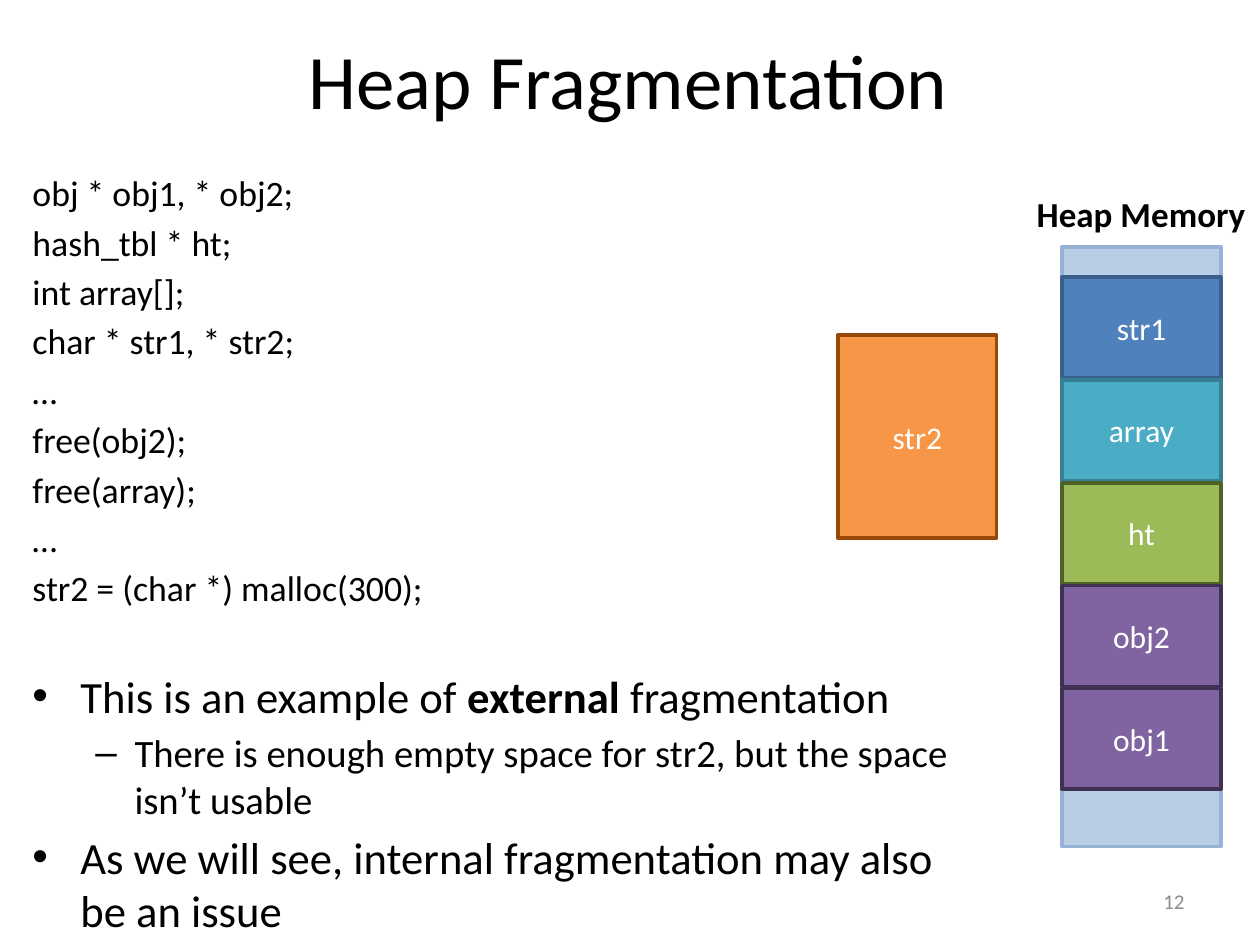
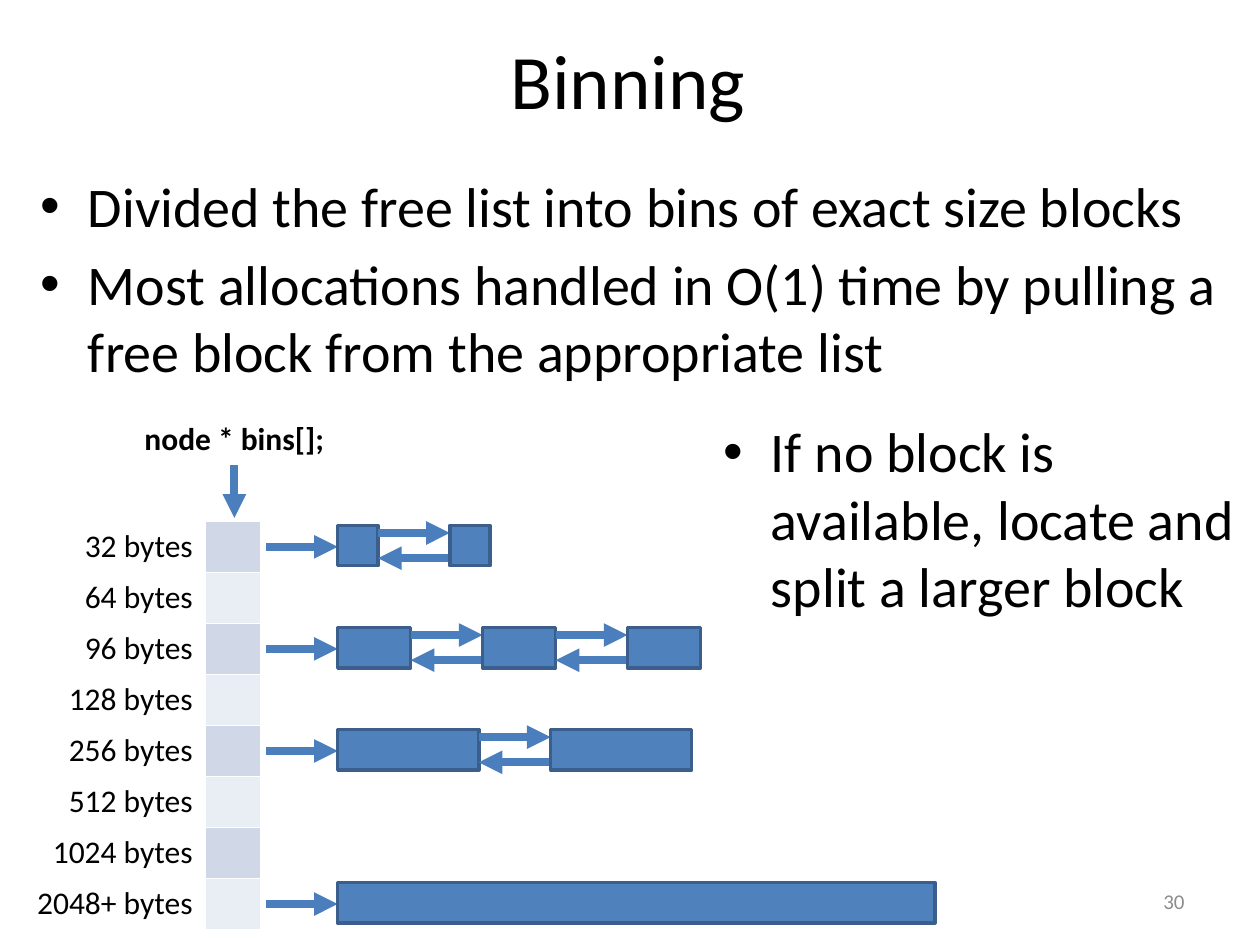
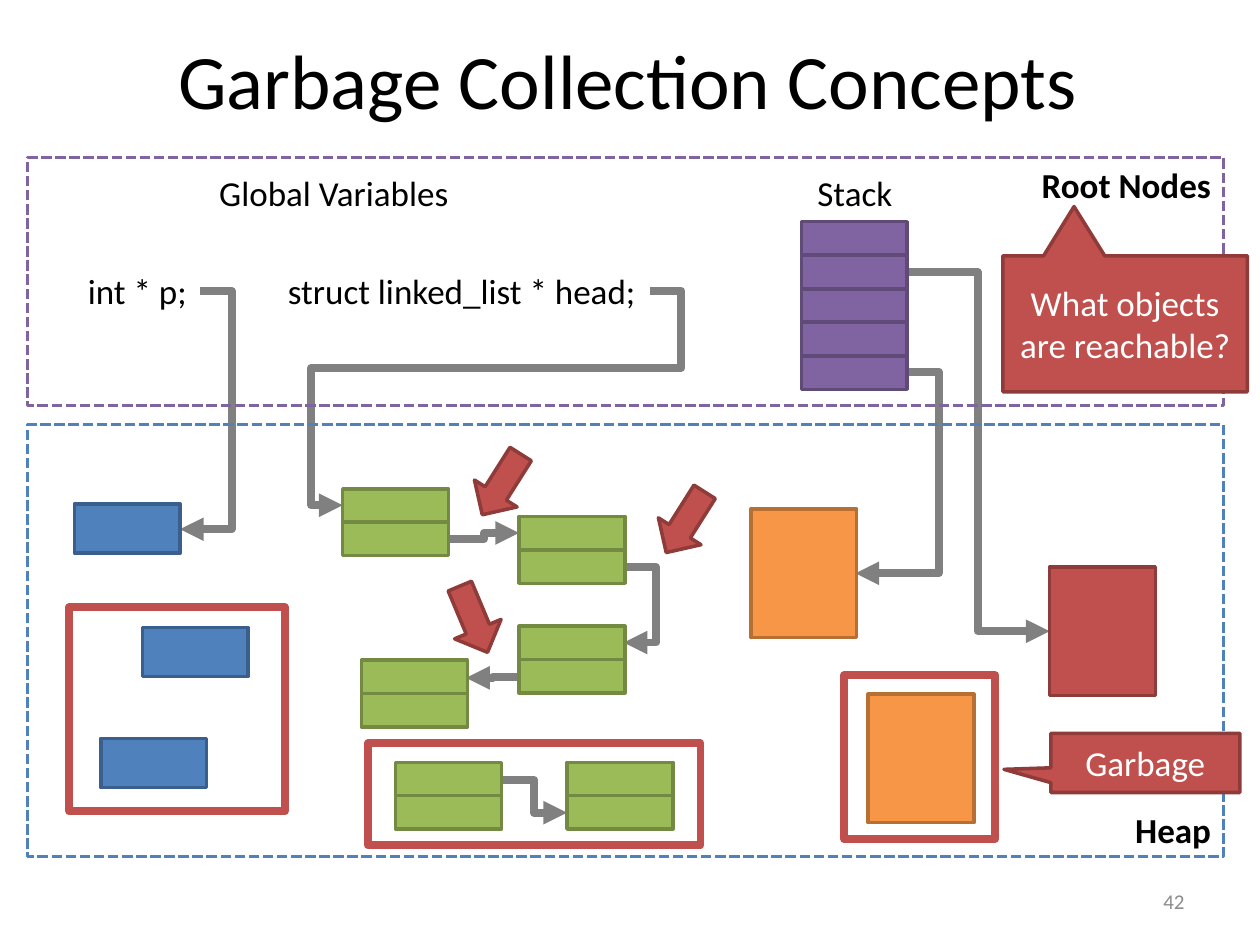
from lxml import etree
from pptx import Presentation
from pptx.dml.color import RGBColor
from pptx.enum.dml import MSO_LINE
from pptx.enum.shapes import MSO_CONNECTOR, MSO_SHAPE
from pptx.enum.text import MSO_ANCHOR, PP_ALIGN
from pptx.oxml.ns import qn
from pptx.util import Inches, Pt

RECT, CALLOUT, ARROW = MSO_SHAPE.RECTANGLE, MSO_SHAPE.RECTANGULAR_CALLOUT, MSO_SHAPE.DOWN_ARROW
STRAIGHT, ELBOW = MSO_CONNECTOR.STRAIGHT, MSO_CONNECTOR.ELBOW
LEFT, CENTER, RIGHT = PP_ALIGN.LEFT, PP_ALIGN.CENTER, PP_ALIGN.RIGHT
TOP, MIDDLE, BOTTOM = MSO_ANCHOR.TOP, MSO_ANCHOR.MIDDLE, MSO_ANCHOR.BOTTOM
DASH = MSO_LINE.SQUARE_DOT

FONT = "Calibri"
COLORS = {
    "black": "000000", "white": "FFFFFF", "page": "8C8C8C", "gray": "808080",
    "blue": "4F81BD", "navy": "3A5F8C", "link": "4B7EBC",
    "pale": "B9CDE5", "sky": "95B3D7", "odd": "E9EDF4", "even": "D0D8E8",
    "orange": "F79646", "rust": "984807", "amber": "B76F34",
    "purple": "8064A2", "plum": "403152", "grape": "5F4A78",
    "green": "9BBB59", "moss": "4F6228", "olive": "738A42",
    "teal": "4BACC6", "sea": "377F92", "red": "C0504D", "wine": "8E3B39",
}
# level: (bullet, left margin, hanging indent); level 0 has no bullet
BULLETS = {1: ("•", 0.38, 0.38), 2: ("–", 0.81, 0.31)}


def rgb(name):
    return RGBColor.from_string(COLORS[name])


def inch(*nums):
    return [Inches(num) for num in nums]


def add(parent, tag, **attrs):
    return etree.SubElement(parent, qn(tag), attrs)


def bullet(para, level):
    mark, left, hang = BULLETS[level]
    props = para._p.get_or_add_pPr()
    props.set("marL", str(Inches(left)))
    props.set("indent", str(-Inches(hang)))
    add(props, "a:buFont", typeface="Arial")
    add(props, "a:buChar", char=mark)


def fill_para(para, text, size, color="black", bold=False, align=LEFT):
    """Write the text; parts between bars are bold."""
    para.alignment = align
    for num, part in enumerate(text.split("|")):
        run = para.add_run()
        run.text = part
        form = {"name": FONT, "size": Pt(size), "bold": bold or num % 2 == 1}
        for key, value in form.items():
            setattr(run.font, key, value)
        run.font.color.rgb = rgb(color)


def label(slide, box, text, size, anchor=TOP, wrap=True, **form):
    frame = slide.shapes.add_textbox(*inch(*box)).text_frame
    frame.word_wrap, frame.vertical_anchor = wrap, anchor
    fill_para(frame.paragraphs[0], text, size, **form)


def body(slide, box, items):
    """Each item is (text, level, size, space before)."""
    frame = slide.shapes.add_textbox(*inch(*box)).text_frame
    frame.word_wrap = True
    for num, (text, level, size, space) in enumerate(items):
        para = frame.add_paragraph() if num else frame.paragraphs[0]
        if level:
            bullet(para, level)
        if num:
            para.space_before = Pt(space)
        fill_para(para, text, size)


def shape(slide, box, fill, line, kind=RECT, width=2, dash=None, text="", size=18,
          color="white", anchor=MIDDLE, bold=False, align=CENTER):
    item = slide.shapes.add_shape(kind, *inch(*box))
    item.shadow.inherit = False
    if fill:
        item.fill.solid()
        item.fill.fore_color.rgb = rgb(fill)
    else:
        item.fill.background()
    item.line.color.rgb = rgb(line)
    item.line.width = Pt(width)
    if dash:
        item.line.dash_style = dash
    if text:
        item.text_frame.word_wrap = True
        item.text_frame.vertical_anchor = anchor
        fill_para(item.text_frame.paragraphs[0], text, size, color, bold, align)
    return item


def arrow(slide, start, end, color="link", kind=STRAIGHT):
    line = slide.shapes.add_connector(kind, *inch(*start, *end))
    line.line.color.rgb = rgb(color)
    line.line.width = Pt(4.5)
    add(line.line._get_or_add_ln(), "a:tailEnd", type="triangle")
    add(line._element.spPr, "a:effectLst")
    return line


def bend(slide, start, end, *turns):
    """Elbow arrow; turns are x, y, x, ... of its inner segments."""
    geom = arrow(slide, start, end, "gray", ELBOW)._element.spPr.find(qn("a:prstGeom"))
    geom.set("prst", f"bentConnector{len(turns) + 2}")
    guides = geom.find(qn("a:avLst"))
    if guides is None:
        guides = add(geom, "a:avLst")
    for num, turn in enumerate(turns):
        axis = num % 2
        part = (turn - start[axis]) / (end[axis] - start[axis])
        add(guides, "a:gd", name=f"adj{num + 1}", fmla=f"val {round(part * 100000)}")


def callout(slide, box, text, tip):
    item = shape(slide, box, "red", "wine", CALLOUT, text=text, size=20)
    item.adjustments[0], item.adjustments[1] = tip


def cells(slide, box, count, fill, line):
    x, y, w, h = box
    for num in range(count):
        shape(slide, (x, y + num * h / count, w, h / count), fill, line)


def base(deck, title, page):
    slide = deck.slides.add_slide(deck.slide_layouts[6])
    label(slide, (0.05, 0, 9.87, 1.25), title, 44, MIDDLE, align=CENTER)
    label(slide, (7.17, 6.95, 2.33, 0.4), page, 12, MIDDLE, color="page", align=RIGHT)
    return slide


def heap(slide, box):
    x, y, w, h = box
    shape(slide, box, "pale", "sky")
    label(slide, (x - 0.3, y - 0.48, 1.87, 0.44), "Heap Memory", 20, wrap=False, bold=True)
    blocks = [("str1", "blue", "navy"), ("array", "teal", "sea"), ("ht", "green", "moss"),
              ("obj2", "purple", "plum"), ("obj1", "purple", "plum")]
    step = (h - 0.68) / len(blocks)
    for num, (text, fill, line) in enumerate(blocks):
        shape(slide, (x, y + 0.24 + num * step, w, 0.8), fill, line, text=text)
    shape(slide, (x - 1.78, y + 0.7, w, 1.61), "orange", "rust", text="str2")


def edge(cell):
    props = cell._tc.get_or_add_tcPr()
    for num, side in enumerate(("a:lnL", "a:lnR", "a:lnT", "a:lnB")):
        line = etree.Element(qn(side), w=str(Pt(1)))
        add(add(line, "a:solidFill"), "a:srgbClr", val=COLORS["white"])
        props.insert(num, line)


def bins(slide, box):
    x, y, w, h = box
    sizes = ["32", "64", "96", "128", "256", "512", "1024", "2048+"]
    grid = slide.shapes.add_table(len(sizes), 2, *inch(*box)).table
    grid.first_row = grid.horz_banding = False
    row_h = h / len(sizes)
    for col, width in zip(grid.columns, (w - 0.44, 0.44)):
        col.width = Inches(width)
    for num, size in enumerate(sizes):
        grid.rows[num].height = Inches(row_h)
        name, slot = grid.cell(num, 0), grid.cell(num, 1)
        name.fill.background()
        fill_para(name.text_frame.paragraphs[0], f"{size} bytes", 18, align=RIGHT)
        slot.fill.solid()
        slot.fill.fore_color.rgb = rgb("odd" if num % 2 else "even")
        edge(name)
        edge(slot)
    label(slide, (x + 0.87, y - 0.86, 1.64, 0.4), "node * bins[];", 18, wrap=False,
          bold=True, align=CENTER)
    arrow(slide, (x + 1.69, y - 0.45), (x + 1.69, y - 0.03))
    for row, width, count in [(0, 0.32, 2), (2, 0.58, 3), (4, 1.12, 2), (7, 4.74, 1)]:
        chain(slide, x + w + 0.04, y + row * row_h + 0.03, width, count)


def chain(slide, x, y, width, count, gap=0.57):
    """Pointer to a doubly linked list of free blocks."""
    arrow(slide, (x, y + 0.17), (x + gap, y + 0.17))
    for num in range(count):
        left = x + gap + num * (width + gap)
        if num:
            arrow(slide, (left - gap, y + 0.06), (left, y + 0.06))
            arrow(slide, (left, y + 0.26), (left - gap, y + 0.26))
        shape(slide, (left, y, width, 0.32), "blue", "navy")


def links(slide, box):
    """Pointers from the roots and between the objects."""
    x, y = box[:2]
    paths = [((6.98, 0.91), (8.11, 3.76), 7.54),
             ((4.94, 1.06), (2.5, 2.76), 5.19, 1.67, 2.25),
             ((3.34, 3.03), (3.9, 2.98), 3.62),
             ((4.74, 3.25), (4.73, 3.85), 4.99),
             ((3.9, 4.12), (3.48, 4.13), 3.69),
             ((3.75, 4.94), (4.28, 5.2), 4.02),
             ((1.37, 1.06), (1.21, 2.95), 1.62),
             ((6.98, 1.7), (6.57, 3.3), 7.23)]
    for start, end, *turns in paths:
        moved = [turn + (x, y)[num % 2] for num, turn in enumerate(turns)]
        bend(slide, (x + start[0], y + start[1]), (x + end[0], y + end[1]), *moved)


def roots(slide, box):
    x, y = box[:2]
    shape(slide, box, None, "purple", dash=DASH, text="Root Nodes", size=20,
          color="black", anchor=TOP, bold=True, align=RIGHT)
    for left, top, width, text in [(6.16, 0.06, 0.81, "Stack"),
                                   (1.41, 0.06, 2.04, "Global Variables"),
                                   (0.37, 0.84, 1, "int * p;"),
                                   (1.95, 0.84, 2.99, "struct linked_list * head;")]:
        label(slide, (x + left, y + top, width, 0.44), text, 20, wrap=False, align=CENTER)
    cells(slide, (x + 6.14, y + 0.51, 0.84, 1.33), 5, "purple", "grape")
    callout(slide, (x + 7.74, y + 0.78, 1.94, 1.08), "What objects are reachable?",
            (-0.209, -0.862))


def pool(slide, box):
    """Heap area with its live objects and its garbage."""
    x, y = box[:2]
    shape(slide, box, None, "blue", dash=DASH, text="Heap", size=20,
          color="black", anchor=BOTTOM, bold=True, align=RIGHT)
    for left, top in [(0.37, 0.63), (0.91, 1.61), (0.58, 2.49)]:
        shape(slide, (x + left, y + top, 0.84, 0.39), "blue", "navy")
    for left, top in [(2.5, 0.51), (3.9, 0.73), (3.9, 1.6),
                      (2.65, 1.87), (2.92, 2.68), (4.28, 2.68)]:
        cells(slide, (x + left, y + top, 0.84, 0.53), 2, "green", "olive")
    for left, top, fill, line in [(5.74, 0.67, "orange", "amber"),
                                  (6.67, 2.14, "orange", "amber"),
                                  (8.11, 1.13, "red", "wine")]:
        shape(slide, (x + left, y + top, 0.84, 1.02), fill, line)
    for left, top, width, high in [(0.33, 1.45, 1.71, 1.62), (2.7, 2.53, 2.64, 0.81),
                                   (6.48, 1.99, 1.2, 1.3)]:
        shape(slide, (x + left, y + top, width, high), None, "red", width=4.5)
    callout(slide, (x + 8.12, y + 2.45, 1.5, 0.47), "Garbage", (-0.748, 0.109))
    for left, top, turn in [(3.56, 0.19, 32.3), (5.02, 0.49, 32.3), (3.34, 1.26, 337.3)]:
        item = shape(slide, (x + left, y + top, 0.4, 0.57), "red", "wine", ARROW)
        item.rotation = turn


def main():
    deck = Presentation()
    deck.slide_width, deck.slide_height = inch(10, 7.5)

    slide = base(deck, "Heap Fragmentation", "12")
    code = ["obj * obj1, * obj2;", "hash_tbl * ht;", "int array[];", "char * str1, * str2;",
            "…", "free(obj2);", "free(array);", "…", "str2 = (char *) malloc(300);"]
    notes = [("This is an example of |external| fragmentation", 1, 25.5, 34),
             ("There is enough empty space for str2, but the space isn’t usable", 2, 22.1, 4),
             ("As we will see, internal fragmentation may also be an issue", 1, 25.5, 4.5)]
    body(slide, (0.16, 1.31, 7.54, 5.93), [(line, 0, 20.4, 3.7) for line in code] + notes)
    heap(slide, (8.43, 1.96, 1.26, 4.76))

    slide = base(deck, "Binning", "30")
    bins(slide, (0.17, 4.14, 1.9, 3.24))
    facts = ["Divided the free list into bins of exact size blocks",
             "Most allocations handled in O(1) time by pulling a free block "
             "from the appropriate list"]
    body(slide, (0.22, 1.31, 9.57, 2.01), [(fact, 1, 32, 6.4) for fact in facts])
    body(slide, (5.64, 3.26, 4.28, 3.62),
         [("If no block is available, locate and split a larger block", 1, 32, 0)])

    slide = base(deck, "Garbage Collection Concepts", "42")
    links(slide, (0.22, 1.25, 9.49, 5.55))
    roots(slide, (0.22, 1.25, 9.49, 1.97))
    pool(slide, (0.22, 3.37, 9.49, 3.43))

    deck.save("out.pptx")


if __name__ == "__main__":
    main()
